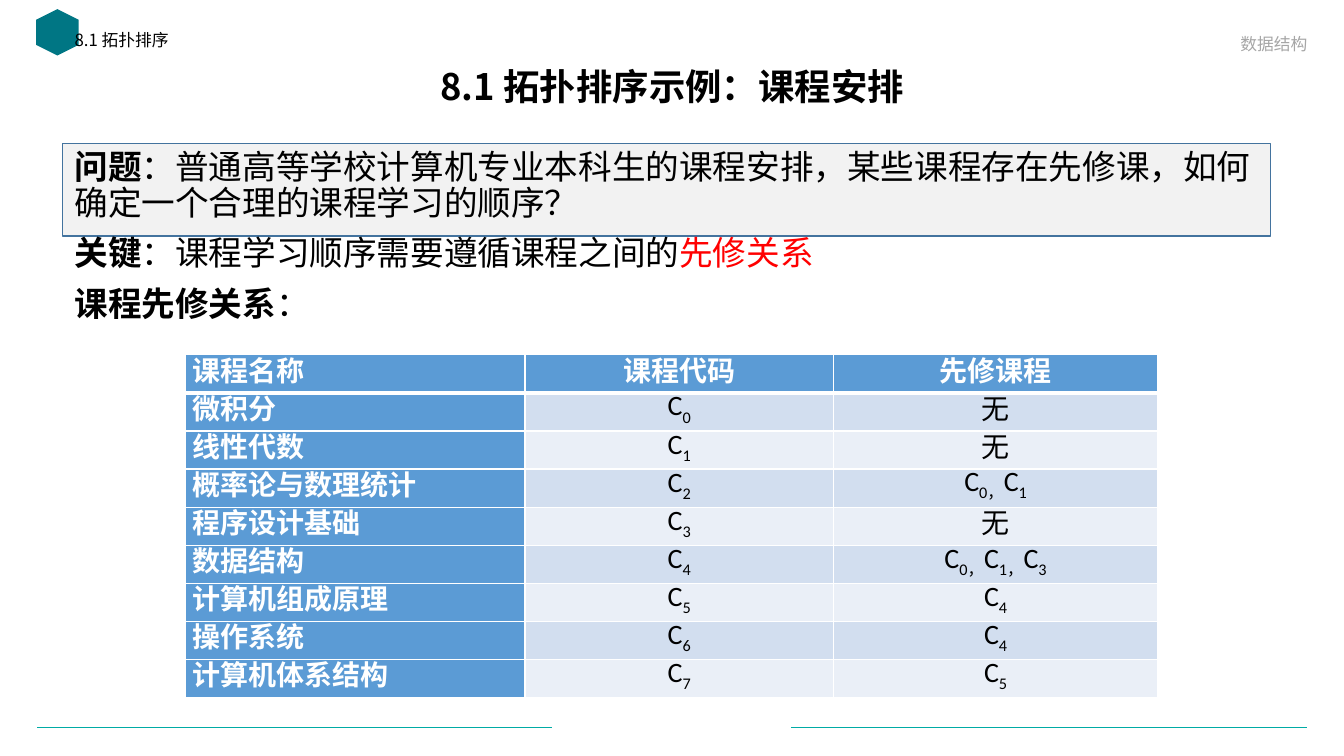
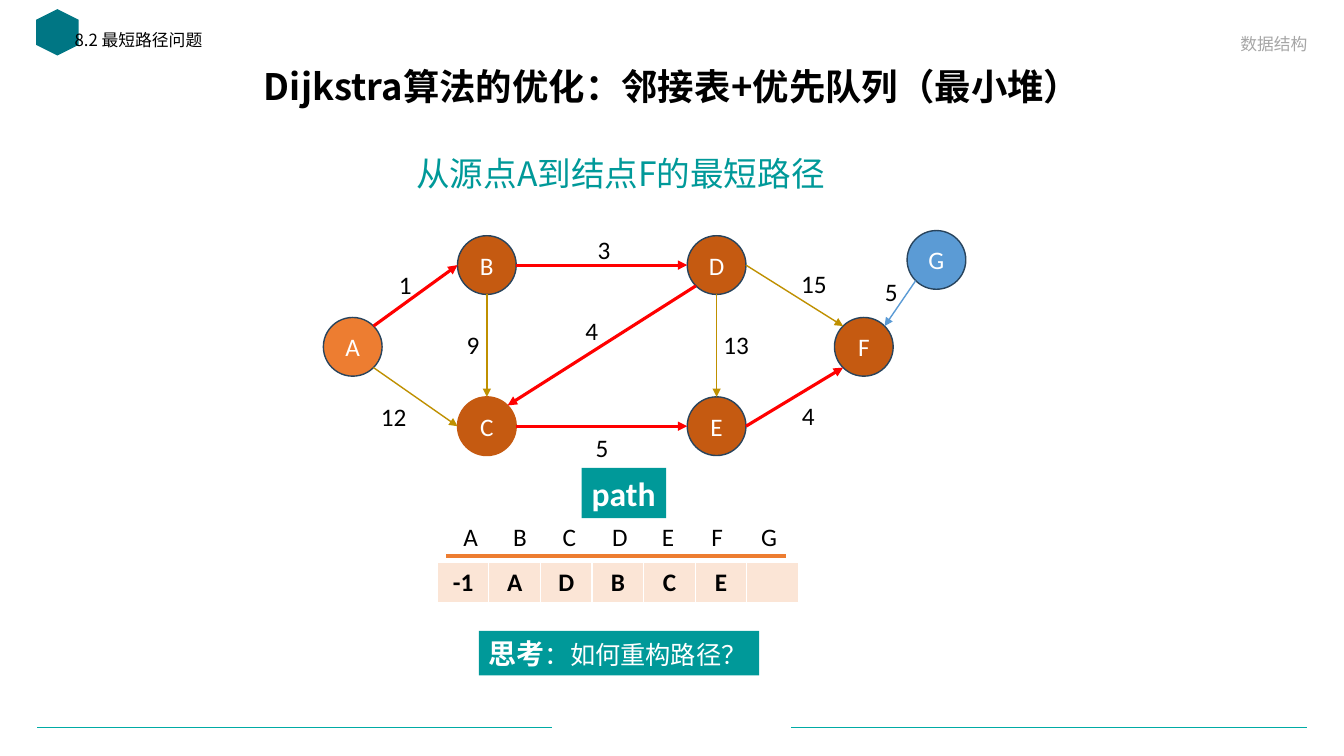
from math import cos, pi, sin

from lxml.etree import SubElement
from pptx import Presentation
from pptx.dml.color import RGBColor
from pptx.enum.shapes import MSO_CONNECTOR as LINK, MSO_SHAPE as SHAPE
from pptx.enum.text import MSO_ANCHOR as ANCHOR, MSO_AUTO_SIZE as FIT, PP_ALIGN as ALIGN
from pptx.oxml.ns import qn
from pptx.util import Cm, Pt

CJK, LATIN = "Noto Sans CJK SC", "Calibri"
COLORS = {
    "black": "000000", "white": "FFFFFF", "red": "FF0000", "grey": "A6A6A6",
    "panel": "F2F2F2", "panel_edge": "43739E", "rule": "00ABA5", "mark": "007684",
    "teal": "009999", "blue": "5B9BD5", "band": "D2DEEF", "pale": "EAEFF7",
    "orange": "ED7D31", "brown": "C55A11", "outline": "28445D", "gold": "BF9000",
    "peach": "FBE5D6",
}

COURSE = "数据结构"
TOPO = {"section": "8.1 拓扑排序", "title": "8.1 拓扑排序示例：课程安排"}
DIJKSTRA = {"section": "8.2 最短路径问题", "title": "Dijkstra算法的优化：邻接表+优先队列（最小堆）"}

QUESTION = [
    [("问题", "bold"), ("：普通高等学校计算机专业本科生的课程安排，某些课程存在先修课，如何确定一个合理的课程学习的顺序？", "")],
    [("关键", "bold"), ("：课程学习顺序需要遵循课程之间的", ""), ("先修关系", "red")],
    [("课程先修关系", "bold"), ("：", "")],
]
COURSE_HEADS = ["课程名称", "课程代码", "先修课程"]
COURSE_WIDTHS = [8.56, 7.77, 8.18]
COURSES = [
    ("微积分", []), ("线性代数", []), ("概率论与数理统计", [0, 1]), ("程序设计基础", []),
    ("数据结构", [0, 1, 3]), ("计算机组成原理", [4]), ("操作系统", [4]), ("计算机体系结构", [5]),
]

NODE_SIZE = 1.48
NODES = {
    "A": (8.89, 8.74, "orange", "outline"), "B": (12.27, 6.68, "brown", "outline"),
    "C": (12.27, 10.74, "brown", "brown"), "D": (18.06, 6.68, "brown", "outline"),
    "E": (18.06, 10.74, "brown", "outline"), "F": (21.77, 8.74, "brown", "outline"),
    "G": (23.6, 6.55, "blue", "outline"),
}
SITES = ["N", "NW", "W", "SW", "S", "SE", "E", "NE"]
EDGES = [
    ("A", "NE", "B", "W", "red", "1", 9.8, 6.65),
    ("B", "E", "D", "W", "red", "3", 14.81, 5.77),
    ("D", "E", "F", "NW", "gold", "15", 19.94, 6.63),
    ("E", "E", "F", "SW", "red", "4", 19.96, 9.96),
    ("C", "E", "E", "W", "red", "5", 14.76, 10.77),
    ("A", "SE", "C", "W", "gold", "12", 9.35, 9.98),
    ("B", "S", "C", "N", "gold", "9", 11.51, 8.18),
    ("D", "SW", "C", "NE", "red", "4", 14.5, 7.82),
    ("D", "S", "E", "N", "gold", "13", 17.98, 8.18),
    ("G", "SW", "F", "NE", "blue", "5", 22.05, 6.83),
]
PARENTS = ["-1", "A", "D", "B", "C", "E", ""]


def rgb(name):
    return RGBColor.from_string(COLORS[name])


def style(font, size, color="black", bold=False, face=CJK):
    font.size, font.bold, font.name = Pt(size), bold, face
    font.color.rgb = rgb(color)
    SubElement(font._rPr, qn("a:ea"), typeface=CJK)


def write(para, text, size, color="black", bold=False, face=CJK, align=ALIGN.LEFT, spacing=None):
    para.alignment = align
    if spacing:
        para.line_spacing = spacing
    if text:
        para.text = text
    style(para.font, size, color, bold, face)


def add_text(page, at, text, size, color="black", wrap=True, anchor=ANCHOR.TOP, **look):
    box = page.shapes.add_textbox(*map(Cm, at))
    box.text_frame.word_wrap = wrap
    box.text_frame.vertical_anchor = anchor
    write(box.text_frame.paragraphs[0], text, size, color, **look)
    return box


def add_block(page, kind, at, fill, edge=None, weight=1):
    block = page.shapes.add_shape(kind, *map(Cm, at))
    block.shadow.inherit = False
    block.fill.solid()
    block.fill.fore_color.rgb = rgb(fill)
    if edge:
        block.line.color.rgb = rgb(edge)
        block.line.width = Pt(weight)
    else:
        block.line.fill.background()
    return block


def add_line(page, start, end, color, weight):
    line = page.shapes.add_connector(LINK.STRAIGHT, *map(Cm, (*start, *end)))
    line.line.color.rgb = rgb(color)
    line.line.width = Pt(weight)
    SubElement(line._element.spPr, qn("a:effectLst"))
    return line


def paint_cell(cell, fill, bottom=1):
    props = cell._tc.get_or_add_tcPr()
    for side in ("L", "R", "T", "B"):
        width = Pt(bottom if side == "B" else 1)
        border = SubElement(props, qn(f"a:ln{side}"), w=str(width))
        paint = SubElement(border, qn("a:solidFill"))
        SubElement(paint, qn("a:srgbClr"), val=COLORS["white"])
    cell.fill.solid()
    cell.fill.fore_color.rgb = rgb(fill)


def add_grid(page, rows, widths, left, top, row_height):
    frame = page.shapes.add_table(rows, len(widths), Cm(left), Cm(top),
                                  Cm(sum(widths)), Cm(rows * row_height))
    table = frame.table
    table.first_row = table.horz_banding = False
    for column, width in zip(table.columns, widths):
        column.width = Cm(width)
    for row in table.rows:
        row.height = Cm(row_height)
    return table


def start_page(deck, content):
    page = deck.slides.add_slide(deck.slide_layouts[5])
    for left, right in ((0.94, 13.92), (19.94, 32.94)):
        add_line(page, (left, 18.34), (right, 18.34), "rule", 0.5)
    mark = add_block(page, SHAPE.HEXAGON, (0.86, 0.28, 1.17, 1.07), "mark")
    mark.rotation = 90
    title = page.shapes.title
    title.left, title.top, title.width, title.height = map(Cm, (2.34, 1.5, 29.21, 1.45))
    title.text_frame.auto_size = FIT.NONE
    title.text_frame.vertical_anchor = ANCHOR.MIDDLE
    write(title.text_frame.paragraphs[0], content["title"], 26, bold=True,
          align=ALIGN.CENTER, spacing=0.9)
    add_text(page, (1.63, 0.69, 13.51, 0.91), content["section"], 12, spacing=0.9)
    add_text(page, (18.87, 0.6, 14.33, 0.89), COURSE, 12, "grey",
             anchor=ANCHOR.BOTTOM, align=ALIGN.RIGHT)
    return page


def write_codes(para, codes):
    for order, code in enumerate(codes):
        para.add_run().text = "C"
        span = para.add_run()
        span.text = f"{code}，" if order < len(codes) - 1 else str(code)
        span.font._rPr.set("baseline", "-25000")


def add_courses(page):
    table = add_grid(page, len(COURSES) + 1, COURSE_WIDTHS, 4.67, 8.94, 0.96)
    rows = [COURSE_HEADS] + [(name, [code], needs) for code, (name, needs) in enumerate(COURSES)]
    for r, row in enumerate(rows):
        for c, content in enumerate(row):
            cell = table.cell(r, c)
            strong = r == 0 or c == 0
            band = "band" if r % 2 else "pale"
            paint_cell(cell, "blue" if strong else band, 1 if r else 3)
            cell.margin_left = cell.margin_right = Cm(0.18)
            cell.margin_top = cell.margin_bottom = 0
            cell.vertical_anchor = ANCHOR.MIDDLE
            para = cell.text_frame.paragraphs[0]
            text = content if strong else "" if content else "无"
            write(para, text, 20, "white" if strong else "black", strong, LATIN,
                  ALIGN.CENTER if c else ALIGN.LEFT, Pt(22))
            if not strong:
                write_codes(para, content)


def build_topo(deck):
    page = start_page(deck, TOPO)
    add_block(page, SHAPE.RECTANGLE, (1.57, 3.61, 30.45, 2.34), "panel", "panel_edge")
    box = page.shapes.add_textbox(*map(Cm, (1.63, 3.66, 30.71, 5.2)))
    box.text_frame.word_wrap = True
    for order, spans in enumerate(QUESTION):
        para = box.text_frame.add_paragraph() if order else box.text_frame.paragraphs[0]
        para.line_spacing = 0.9
        if order:
            para.space_before = Pt(10)
        for text, look in spans:
            span = para.add_run()
            span.text = text
            style(span.font, 24, "red" if look == "red" else "black", look == "bold")
    add_courses(page)


def site_point(name, site):
    x, y = NODES[name][:2]
    angle = pi / 2 + SITES.index(site) * pi / 4
    return x + NODE_SIZE / 2 * cos(angle), y - NODE_SIZE / 2 * sin(angle)


def add_graph(page):
    circles = {}
    for name, (x, y, fill, edge) in NODES.items():
        half = NODE_SIZE / 2
        circle = add_block(page, SHAPE.OVAL, (x - half, y - half, NODE_SIZE, NODE_SIZE), fill, edge)
        frame = circle.text_frame
        frame.margin_left = frame.margin_right = frame.margin_top = frame.margin_bottom = 0
        frame.vertical_anchor = ANCHOR.MIDDLE
        write(frame.paragraphs[0], name, 18, "white", face=LATIN, align=ALIGN.CENTER)
        circles[name] = circle
    for source, exit_site, target, entry_site, color, cost, x, y in EDGES:
        arrow = add_line(page, site_point(source, exit_site), site_point(target, entry_site),
                         color, 2.25 if color == "red" else 1)
        SubElement(arrow.line._get_or_add_ln(), qn("a:tailEnd"), type="triangle")
        joints = arrow._element.nvCxnSpPr.cNvCxnSpPr
        for tag, name, site in (("stCxn", source, exit_site), ("endCxn", target, entry_site)):
            SubElement(joints, qn(f"a:{tag}"), id=str(circles[name].shape_id),
                       idx=str(SITES.index(site)))
        add_text(page, (x, y, 0.5 + 0.34 * len(cost), 1.02), cost, 18, wrap=False, face=LATIN)


def add_parents(page):
    heads = page.shapes.add_textbox(*map(Cm, (11.43, 13, 9.2, 1.02)))
    heads.text_frame.word_wrap = True
    para = heads.text_frame.paragraphs[0]
    stops = SubElement(para._p.get_or_add_pPr(), qn("a:tabLst"))
    for order in range(1, len(NODES)):
        SubElement(stops, qn("a:tab"), pos=str(Cm(1.25 * order)), algn="l")
    write(para, "\t".join(NODES), 18, face=LATIN)
    add_line(page, (11.25, 14.02), (19.81, 14.02), "orange", 3)
    table = add_grid(page, 1, [1.3] * len(PARENTS), 11.02, 14.17, 1.04)
    for c, parent in enumerate(PARENTS):
        cell = table.cell(0, c)
        paint_cell(cell, "peach", 3)
        write(cell.text_frame.paragraphs[0], parent, 18, bold=True, face=LATIN, align=ALIGN.CENTER)


def add_badge(page, at):
    badge = add_block(page, SHAPE.RECTANGLE, at, "teal")
    badge.text_frame.word_wrap = False
    badge.text_frame.vertical_anchor = ANCHOR.MIDDLE
    para = badge.text_frame.paragraphs[0]
    para.alignment = ALIGN.LEFT
    return para


def build_dijkstra(deck):
    page = start_page(deck, DIJKSTRA)
    add_text(page, (10.24, 3.89, 10.97, 2.2), "从源点A到结点F的最短路径", 24, "teal", spacing=0.83)
    add_graph(page)
    add_parents(page)
    write(add_badge(page, (14.66, 11.79, 2.13, 1.27)), "path", 24, "white", True, LATIN)
    prompt = add_badge(page, (12.07, 15.9, 7.06, 1.12))
    for text, size, bold in (("思考", 20, True), ("：如何重构路径？", 18, False)):
        span = prompt.add_run()
        span.text = text
        style(span.font, size, "white", bold)


def main():
    deck = Presentation()
    deck.slide_width, deck.slide_height = Cm(33.87), Cm(19.05)
    build_topo(deck)
    build_dijkstra(deck)
    deck.save("out.pptx")


if __name__ == "__main__":
    main()
